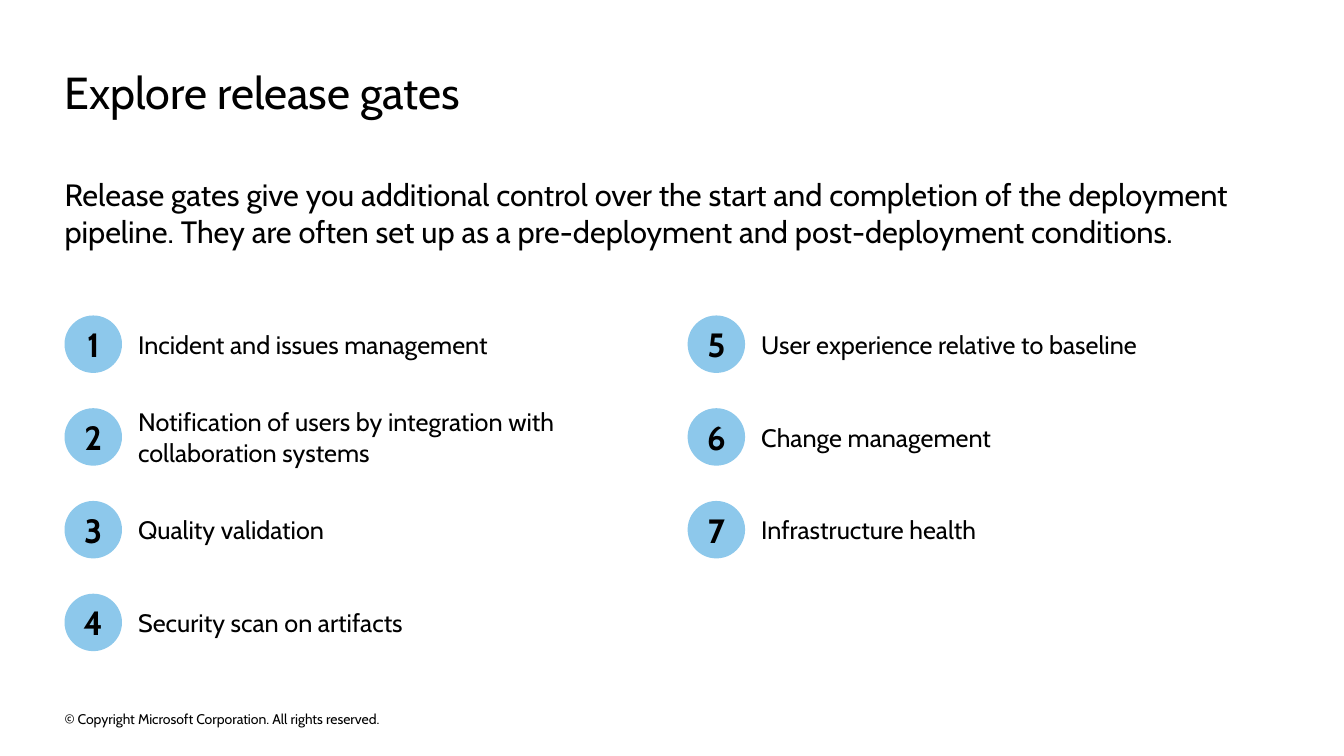
from pptx import Presentation
from pptx.dml.color import RGBColor
from pptx.enum.shapes import MSO_SHAPE
from pptx.enum.text import MSO_ANCHOR, PP_ALIGN
from pptx.util import Inches, Pt

BLACK = RGBColor(0x00, 0x00, 0x00)
SKY = RGBColor(0x8D, 0xC8, 0xEB)
FONT = "Cabin"
OVAL = MSO_SHAPE.OVAL
TOP, MIDDLE = MSO_ANCHOR.TOP, MSO_ANCHOR.MIDDLE
LEFT, CENTER = PP_ALIGN.LEFT, PP_ALIGN.CENTER

MARGIN = 0.64
CONTENT_W = 12.04
BADGE = 0.57
LABEL_OFFSET = 0.73
LABEL_W = 5.11
LINE_H = 0.305
GATES_TOP = 3.13
ROW_PITCH = 0.92
COLUMN_PITCH = 6.18
ROWS = 4

GATES = [
    ("Incident and issues management", 1),
    ("Notification of users by integration with collaboration systems", 2),
    ("Quality validation", 1),
    ("Security scan on artifacts", 1),
    ("User experience relative to baseline", 1),
    ("Change management", 1),
    ("Infrastructure health", 1),
]


def write(sp, text, size, anchor=TOP, align=LEFT, bold=False):
    tf = sp.text_frame
    tf.text = text
    tf.word_wrap = True
    tf.vertical_anchor = anchor
    tf.margin_left = tf.margin_right = tf.margin_top = tf.margin_bottom = 0
    p = tf.paragraphs[0]
    p.alignment = align
    font = p.runs[0].font
    font.name = FONT
    font.size = Pt(size)
    font.bold = bold
    font.color.rgb = BLACK


def add_text(s, x, y, w, h, text, size, anchor=TOP):
    sp = s.shapes.add_textbox(Inches(x), Inches(y), Inches(w), Inches(h))
    write(sp, text, size, anchor)


def add_title(s, x, y, w, h, text):
    title = s.shapes.title
    title.left, title.top = Inches(x), Inches(y)
    title.width, title.height = Inches(w), Inches(h)
    write(title, text, 32)


def add_gate(s, x, y, number, text, lines):
    badge = s.shapes.add_shape(OVAL, Inches(x), Inches(y), Inches(BADGE), Inches(BADGE))
    badge.shadow.inherit = False
    badge.fill.solid()
    badge.fill.fore_color.rgb = SKY
    badge.line.fill.background()
    write(badge, str(number), 24, MIDDLE, CENTER, True)
    h = lines * LINE_H
    add_text(s, x + LABEL_OFFSET, y + (BADGE - h) / 2, LABEL_W, h, text, 18, MIDDLE)


def add_gates(s, x, y):
    for i, (text, lines) in enumerate(GATES):
        column, row = divmod(i, ROWS)
        add_gate(s, x + column * COLUMN_PITCH, y + row * ROW_PITCH, i + 1, text, lines)


def main():
    prs = Presentation()
    prs.slide_width, prs.slide_height = Inches(13.33), Inches(7.5)
    s = prs.slides.add_slide(prs.slide_layouts[5])
    add_title(s, MARGIN, 0.64, CONTENT_W, 0.54, "Explore release gates")
    add_text(
        s, MARGIN, 1.74, CONTENT_W, 1.11,
        "Release gates give you additional control over the start and completion of the "
        "deployment pipeline. They are often set up as a pre-deployment and "
        "post-deployment conditions.",
        22,
    )
    add_gates(s, MARGIN, GATES_TOP)
    add_text(
        s, MARGIN, 7.02, 4.54, 0.22,
        "© Copyright Microsoft Corporation. All rights reserved.", 10, MIDDLE,
    )
    prs.save("out.pptx")


if __name__ == "__main__":
    main()
